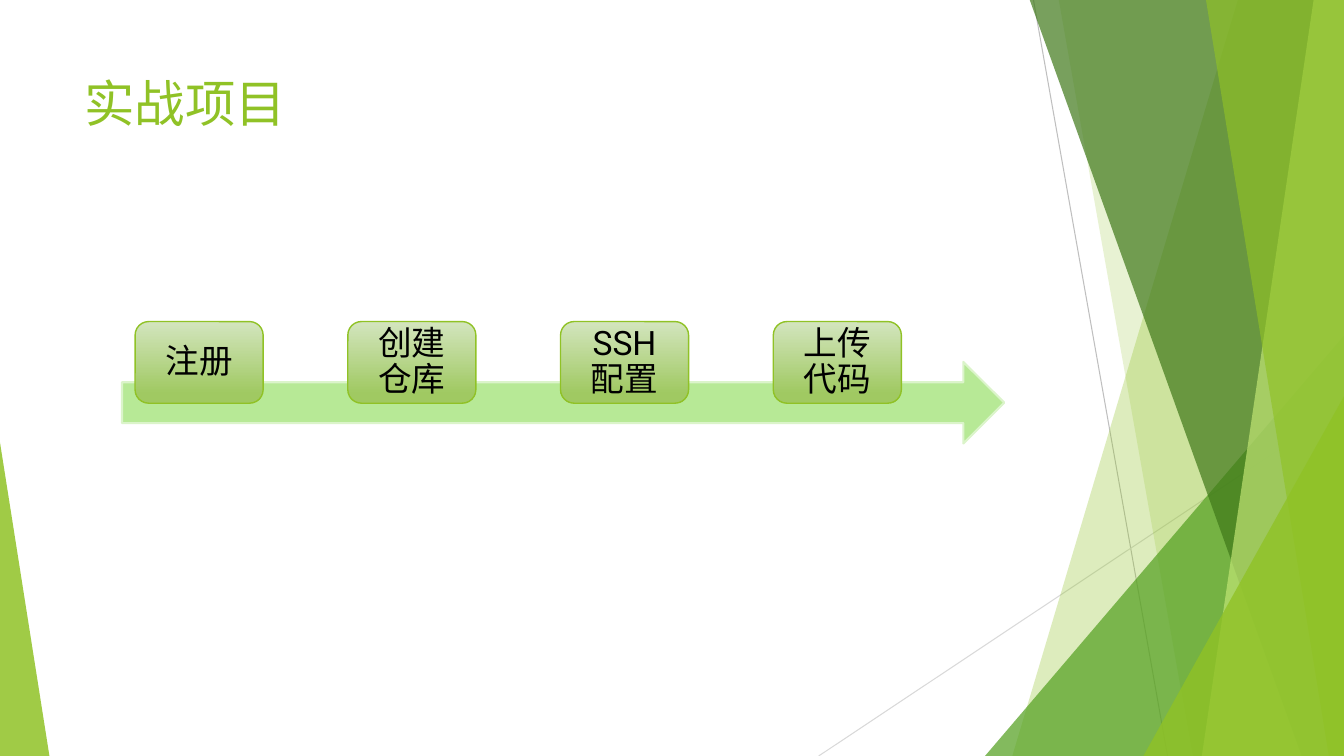
"""Build the project-steps slide with a green faceted border."""
import lxml.etree
import pptx
import pptx.dml.color
import pptx.enum.shapes
import pptx.enum.text
import pptx.oxml.ns
import pptx.util

RGB = pptx.dml.color.RGBColor
SHAPE = pptx.enum.shapes.MSO_SHAPE
ALIGN = pptx.enum.text.PP_ALIGN
ANCHOR = pptx.enum.text.MSO_ANCHOR

PX = 9144
WIDTH, HEIGHT = 1333, 750
FONT = "Roboto"
GREEN = RGB(0x90, 0xC2, 0x26)
MID_GREEN = RGB(0x54, 0xA0, 0x21)
DARK_GREEN = RGB(0x3F, 0x78, 0x19)
LIME = RGB(0xC0, 0xE4, 0x74)
ARROW_FILL = RGB(0xB7, 0xE9, 0x96)
ARROW_LINE = RGB(0xDB, 0xF4, 0xCA)
STEP_TOP = RGB(0xD3, 0xE5, 0xBE)
STEP_BOTTOM = RGB(0xA0, 0xC9, 0x62)
GREY = RGB(0xBF, 0xBF, 0xBF)
LIGHT_GREY = RGB(0xD9, 0xD9, 0xD9)
BLACK = RGB(0x00, 0x00, 0x00)

STEPS = ["注册", "创建仓库", "SSH\n配置", "上传代码"]
STEP_LEFT, STEP_PITCH = 134, 211


def px(*lengths):
    """Turn pixel lengths into EMU."""
    return [pptx.util.Emu(n * PX) for n in lengths]


def add_child(parent, tag, **attrs):
    """Append a DrawingML element."""
    return lxml.etree.SubElement(parent, pptx.oxml.ns.qn(tag), **attrs)


def paint(sp, color, opacity):
    """Fill a borderless shape with a translucent colour."""
    sp.shadow.inherit = False
    sp.line.fill.background()
    sp.fill.solid()
    sp.fill.fore_color.rgb = color
    srgb = sp.fill._xPr.find(".//" + pptx.oxml.ns.qn("a:srgbClr"))
    add_child(srgb, "a:alpha", val=str(opacity * 1000))


def add_hairline(s, start, end, color):
    """Draw a thin straight line."""
    line = s.shapes.add_connector(
        pptx.enum.shapes.MSO_CONNECTOR.STRAIGHT, *px(*start, *end))
    line.line.color.rgb = color
    line.line.width = pptx.util.Pt(0.75)
    add_child(line._element.spPr, "a:effectLst")


def add_facet(s, top_x, bottom_x, color, opacity):
    """Draw a full-height facet that ends at the right slide edge."""
    points = [(WIDTH, -1), (WIDTH, HEIGHT), (bottom_x, HEIGHT)]
    builder = s.shapes.build_freeform(top_x, -1, scale=PX)
    builder.add_line_segments(points, close=True)
    paint(builder.convert_to_shape(), color, opacity)


def add_wedge(s, box, apex, color, opacity):
    """Draw a right-angled triangle with its apex at a side."""
    sp = s.shapes.add_shape(SHAPE.ISOSCELES_TRIANGLE, *px(*box))
    sp.adjustments[0] = apex
    paint(sp, color, opacity)


def write(sp, text, size, color, align):
    """Set the text of a shape and format its runs."""
    tf = sp.text_frame
    tf.word_wrap = True
    tf.text = text
    for p in tf.paragraphs:
        p.alignment = align
        p.line_spacing = 0.9
        for r in p.runs:
            r.font.name = FONT
            r.font.size = pptx.util.Pt(size)
            r.font.color.rgb = color


def add_title(s, text):
    """Add the slide title."""
    sp = s.shapes.add_textbox(*px(74, 67, 940, 144))
    write(sp, text, 36, GREEN, ALIGN.LEFT)
    sp.text_frame.paragraphs[0].line_spacing = 1.0


def add_arrow(s):
    """Add the arrow behind the steps."""
    sp = s.shapes.add_shape(SHAPE.RIGHT_ARROW, *px(121, 359, 875, 81))
    sp.shadow.inherit = False
    sp.fill.solid()
    sp.fill.fore_color.rgb = ARROW_FILL
    sp.line.color.rgb = ARROW_LINE
    sp.line.width = pptx.util.Pt(1.5)


def add_step(s, left, text):
    """Add a rounded gradient box for one step."""
    sp = s.shapes.add_shape(SHAPE.ROUNDED_RECTANGLE, *px(left, 319, 127, 81))
    sp.shadow.inherit = False
    sp.fill.gradient()
    sp.fill.gradient_angle = 270
    stops = [(0, STEP_TOP), (0.88, STEP_BOTTOM)]
    for stop, (position, color) in zip(sp.fill.gradient_stops, stops):
        stop.position = position
        stop.color.rgb = color
    sp.line.color.rgb = GREEN
    sp.line.width = pptx.util.Pt(1)
    write(sp, text, 24, BLACK, ALIGN.CENTER)
    tf = sp.text_frame
    tf.vertical_anchor = ANCHOR.MIDDLE
    tf.margin_left, tf.margin_right, tf.margin_top, tf.margin_bottom = px(
        14, 14, 0, 0)


def add_border(s):
    """Draw the faceted decoration from back to front."""
    add_hairline(s, (1025, 0), (1158, HEIGHT), GREY)
    add_hairline(s, (WIDTH, 403), (812, HEIGHT), LIGHT_GREY)
    add_facet(s, 1228, 1004, GREEN, 30)
    add_facet(s, 1050, 1183, GREEN, 20)
    add_wedge(s, (977, 333, 356, 417), 1, MID_GREEN, 72)
    add_facet(s, 1021, 1291, DARK_GREEN, 70)
    add_facet(s, 1303, 1192, LIME, 70)
    add_facet(s, 1196, 1318, GREEN, 65)
    add_wedge(s, (1134, 393, 199, 357), 1, GREEN, 80)
    add_wedge(s, (0, 439, 49, 311), 0, GREEN, 85)


def main():
    """Build and save the slide."""
    prs = pptx.Presentation()
    prs.slide_width, prs.slide_height = px(WIDTH, HEIGHT)
    s = prs.slides.add_slide(prs.slide_layouts[6])
    add_border(s)
    add_title(s, "实战项目")
    add_arrow(s)
    for i, text in enumerate(STEPS):
        add_step(s, STEP_LEFT + i * STEP_PITCH, text)
    prs.save("out.pptx")


if __name__ == "__main__":
    main()
